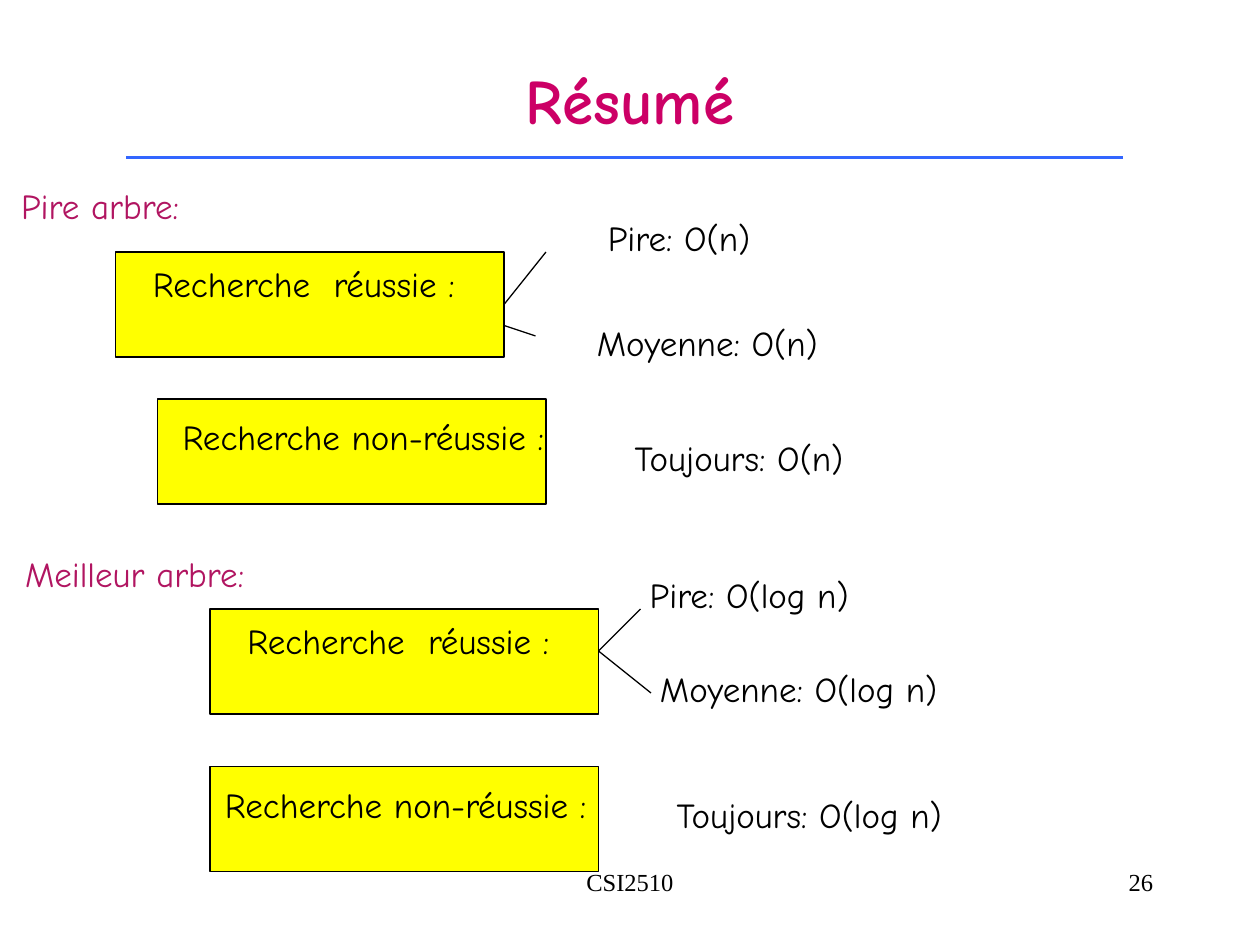
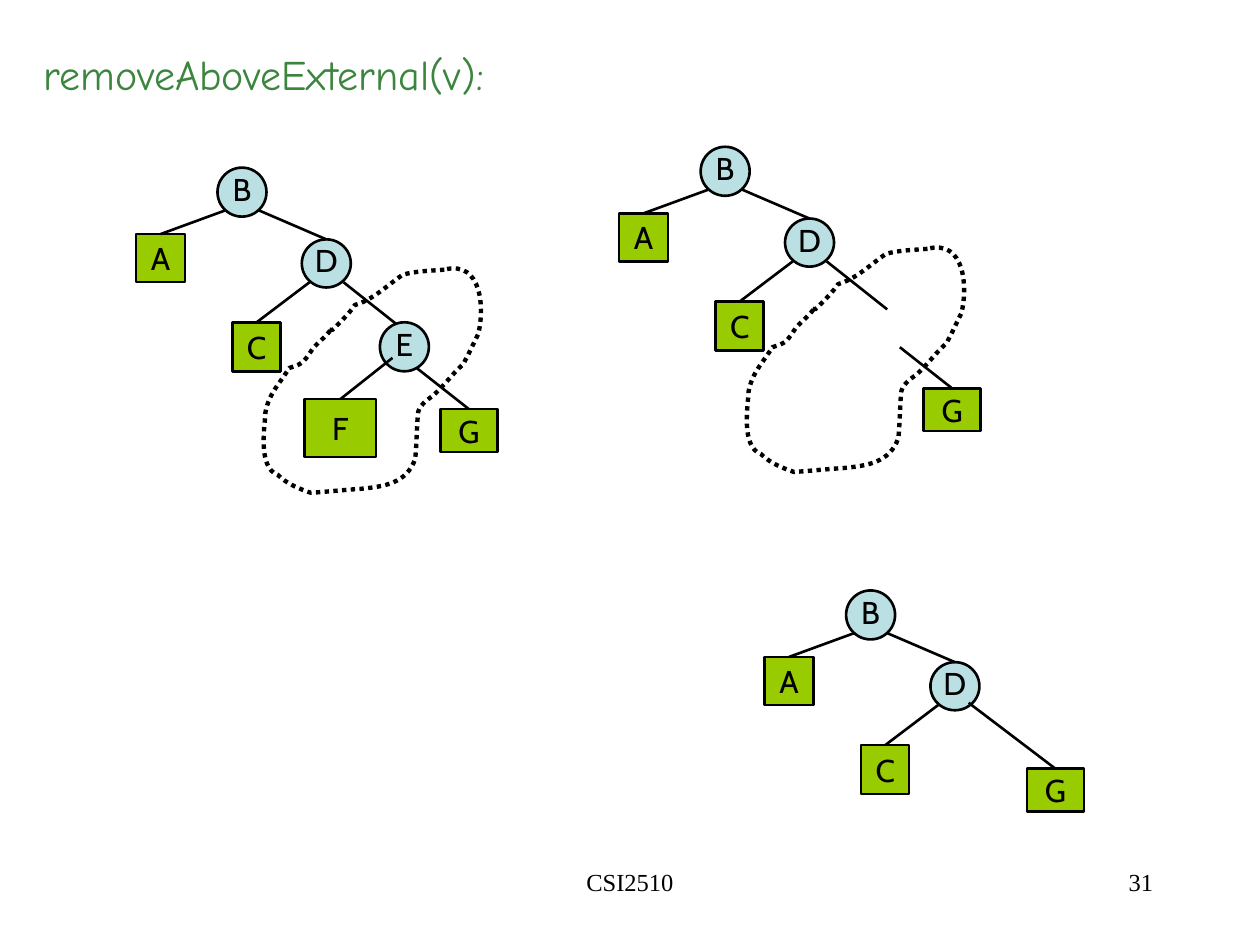
from itertools import chain

from lxml import etree
from pptx import Presentation
from pptx.dml.color import RGBColor
from pptx.enum.dml import MSO_LINE
from pptx.enum.shapes import MSO_CONNECTOR, MSO_SHAPE
from pptx.enum.text import MSO_ANCHOR, PP_ALIGN
from pptx.oxml.ns import qn
from pptx.util import Pt

BLACK = RGBColor(0x00, 0x00, 0x00)
TITLE_PINK = RGBColor(0xCC, 0x00, 0x66)
HEADING_PINK = RGBColor(0xB1, 0x15, 0x61)
HEADING_GREEN = RGBColor(0x3B, 0x85, 0x3E)
RULE_BLUE = RGBColor(0x33, 0x66, 0xFF)
YELLOW = RGBColor(0xFF, 0xFF, 0x00)
INNER_BLUE = RGBColor(0xBB, 0xE0, 0xE3)
LEAF_GREEN = RGBColor(0x99, 0xCC, 0x00)

HAND_FONT = "Comic Neue"
NODE_FONT = "Cabin"
FOOTER_FONT = "Times New Roman"
COURSE = "CSI2510"
INSETS = (7.2, 3.6, 7.2, 3.6)
TOP, RIGHT = 0, 3

# Summary slide: (left, top, text) for boxes, (left, top, width, text, colour) for labels
SEARCH_BOX = (222, 60)
SEARCH_BOXES = [
    (66, 144, "Recherche  réussie :"),
    (90, 228, ""),
    (120, 348, "Recherche  réussie :"),
    (120, 438, ""),
]
LABELS = [
    (5, 102, 105, "Pire arbre:", HEADING_PINK),
    (7.2, 312, 140, "Meilleur arbre:", HEADING_PINK),
    (340.2, 120, 96, "Pire: O(n)", BLACK),
    (334, 180, 141, "Moyenne: O(n)", BLACK),
    (97.2, 234, 229, "Recherche non-réussie :", BLACK),
    (355.5, 246, 135, "Toujours: O(n)", BLACK),
    (364.2, 324, 128, "Pire: O(log n)", BLACK),
    (370, 378, 173.5, "Moyenne: O(log n)", BLACK),
    (121.4, 444, 229, "Recherche non-réussie :", BLACK),
    (379.5, 450, 168, "Toujours: O(log n)", BLACK),
]
# (box whose right side middle is joined, or None; start; end)
BRANCHES = [
    (0, (288, 174), (312, 144)),
    (None, (288, 186), (306, 192)),
    (None, (342, 372), (366, 348)),
    (None, (342, 372), (372, 396)),
]

# Trees: every place is measured from the top left of the root B
INNER_NODES = {"B", "D", "E"}
SHARED_NODES = {
    "B": (0, 0, 28, 28),
    "D": (48.2, 41, 28, 27.5),
    "A": (-46.6, 38, 28, 27.5),
    "C": (8.6, 88.4, 27.5, 28),
}
G_LOW = (127.4, 138, 32.5, 24.5)
# Edges start at the top of a node, or at a free point, and end on the parent's rim
SHARED_EDGES = [("A", (4.3, 24.5)), ("D", (23.8, 24.5)), ("C", (52.6, 65.5))]
D_TO_E = ((106.6, 92.9), (72, 65.5))
G_TO_E = ("G", (113.8, 114.5))
# "under" edges lie beneath the tree's own nodes, "edges" lie above them
TREES = [
    {"root": (124.3, 95.8), "outlined": True, "under": [D_TO_E],
     "nodes": {"E": (92.8, 88.4, 28, 28), "F": (49.7, 132.3, 41, 33), "G": G_LOW},
     "edges": [G_TO_E, ("F", (100, 108.7))]},
    {"root": (400.4, 83.9), "outlined": True, "under": [D_TO_E],
     "nodes": {"G": G_LOW},
     "edges": [G_TO_E]},
    {"root": (483.5, 337.4), "outlined": False, "under": [],
     "nodes": {"G": (103.4, 101.9, 32.5, 24.5)},
     "edges": [("G", (70, 64.2))]},
]
# Outline of the removed part: start, then Bézier pieces (control, control, end)
OUTLINE_START = (129.6, 58.3)
OUTLINE_CURVES = [
    ((121.7, 59), (113.8, 59), (105.8, 61.2)),
    ((96.5, 67.7), (88.6, 75.6), (78.5, 78.5)),
    ((75.6, 82.8), (72, 86.4), (68.4, 90)),
    ((61.2, 97.9), (69.1, 86.4), (63.4, 94.3)),
    ((60.5, 97.9), (55.4, 101.5), (53.3, 105.1)),
    ((49, 111.6), (48.2, 112.3), (41, 114.5)),
    ((35.3, 123.8), (29.5, 128.9), (27.4, 139.7)),
    ((27.4, 145.4), (22.3, 171.4), (34.6, 175.7)),
    ((39.6, 180.7), (46.8, 183.6), (53.3, 185.8)),
    ((65.5, 185), (69.8, 184.3), (81.4, 183.6)),
    ((95, 182.2), (108, 180.7), (113, 166.3)),
    ((113.8, 157.7), (113.8, 149), (114.5, 141.1)),
    ((114.5, 136.1), (120.2, 132.5), (123.1, 130.3)),
    ((129.6, 124.6), (133.9, 118.1), (140.4, 112.3)),
    ((141.8, 109.4), (143.3, 107.3), (144.7, 103.7)),
    ((146.2, 100.8), (149, 95), (149, 95)),
    ((152.6, 80.6), (151.2, 52.6), OUTLINE_START),
]


def points(*values):
    return [Pt(value) for value in values]


def write(shape, text, font, size, color=BLACK, align=PP_ALIGN.LEFT,
          anchor=MSO_ANCHOR.TOP, insets=INSETS, wrap=False, bold=False):
    frame = shape.text_frame
    frame.word_wrap = wrap
    frame.vertical_anchor = anchor
    (frame.margin_left, frame.margin_top,
     frame.margin_right, frame.margin_bottom) = points(*insets)
    para = frame.paragraphs[0]
    para.alignment = align
    span = para.add_run()
    span.text = text
    span.font.name = font
    span.font.size = Pt(size)
    span.font.bold = bold
    span.font.color.rgb = color


def add_text(page, place, text, font, size, **style):
    box = page.shapes.add_textbox(*points(*place))
    write(box, text, font, size, **style)


def add_block(page, kind, place, fill, line_width):
    block = page.shapes.add_shape(kind, *points(*place))
    block.shadow.inherit = False
    block.fill.solid()
    block.fill.fore_color.rgb = fill
    block.line.color.rgb = BLACK
    block.line.width = Pt(line_width)
    return block


def add_line(page, start, end, width, color=BLACK):
    line = page.shapes.add_connector(MSO_CONNECTOR.STRAIGHT, *points(*start, *end))
    line.line.color.rgb = color
    line.line.width = Pt(width)
    etree.SubElement(line._element.spPr, qn("a:effectLst"))
    return line


def add_page(deck, number):
    """Add a blank page with the course name and page number at its foot."""
    page = deck.slides.add_slide(deck.slide_layouts[6])
    add_text(page, (246, 492, 228, 36), COURSE, FOOTER_FONT, 14,
             align=PP_ALIGN.CENTER, wrap=True)
    add_text(page, (516, 492, 150, 36), str(number), FOOTER_FONT, 14,
             align=PP_ALIGN.RIGHT, wrap=True)
    return page


def bend(outline):
    """Turn each three straight segments of a freeform into one Bézier curve."""
    track = next(outline._element.iter(qn("a:path")))
    segments = track.findall(qn("a:lnTo"))
    for first in range(0, len(segments), 3):
        curve = etree.Element(qn("a:cubicBezTo"))
        segments[first].addprevious(curve)
        for segment in segments[first:first + 3]:
            curve.append(segment[0])
            track.remove(segment)


def add_outline(page, shift):
    builder = page.shapes.build_freeform(*points(*shift(OUTLINE_START)))
    corners = [points(*shift(spot)) for spot in chain.from_iterable(OUTLINE_CURVES)]
    builder.add_line_segments(corners, close=True)
    outline = builder.convert_to_shape()
    bend(outline)
    outline.shadow.inherit = False
    outline.fill.background()
    outline.line.color.rgb = BLACK
    outline.line.width = Pt(2.5)
    outline.line.dash_style = MSO_LINE.ROUND_DOT


def add_node(page, name, place):
    if name in INNER_NODES:
        kind, fill, insets = MSO_SHAPE.OVAL, INNER_BLUE, (0, 0, 0, 3.6)
    else:
        kind, fill, insets = MSO_SHAPE.RECTANGLE, LEAF_GREEN, INSETS
    node = add_block(page, kind, place, fill, 1.5)
    write(node, name, NODE_FONT, 18, align=PP_ALIGN.CENTER,
          anchor=MSO_ANCHOR.MIDDLE, insets=insets)
    return node


def add_tree(page, tree):
    root_x, root_y = tree["root"]

    def shift(spot):
        return root_x + spot[0], root_y + spot[1]

    layers = [(SHARED_NODES, SHARED_EDGES + tree["under"]),
              (tree["nodes"], tree["edges"])]
    for places, edges in layers:
        nodes = {name: add_node(page, name, (*shift(place), *place[2:]))
                 for name, place in places.items()}
        for start, end in edges:
            if start in nodes:
                left, top, width, _ = places[start]
                edge = add_line(page, shift((left + width / 2, top)), shift(end), 1.5)
                edge.begin_connect(nodes[start], TOP)
            else:
                add_line(page, shift(start), shift(end), 1.5)
    if tree["outlined"]:
        add_outline(page, shift)


def build_summary(deck):
    page = add_page(deck, 26)
    add_text(page, (54, 12, 612, 90), "Résumé", HAND_FONT, 36, color=TITLE_PINK,
             align=PP_ALIGN.CENTER, anchor=MSO_ANCHOR.MIDDLE, wrap=True, bold=True)
    add_line(page, (72, 90), (642, 90), 2, RULE_BLUE)
    boxes = []
    for left, top, text in SEARCH_BOXES:
        box = add_block(page, MSO_SHAPE.RECTANGLE, (left, top, *SEARCH_BOX), YELLOW, 0.75)
        if text:
            write(box, text, HAND_FONT, 20, insets=(21.4, 6, 7.2, 3.6), wrap=True)
        boxes.append(box)
    for left, top, width, text, color in LABELS:
        add_text(page, (left, top, width, 31.5), text, HAND_FONT, 20, color=color)
    for joined, start, end in BRANCHES:
        branch = add_line(page, start, end, 0.75)
        if joined is not None:
            branch.begin_connect(boxes[joined], RIGHT)


def build_removal(deck):
    page = add_page(deck, 31)
    add_text(page, (18, 24, 714, 36), "removeAboveExternal(v):", HAND_FONT, 24,
             color=HEADING_GREEN, wrap=True)
    for tree in TREES:
        add_tree(page, tree)


def main():
    deck = Presentation()
    deck.slide_width, deck.slide_height = points(720, 540)
    build_summary(deck)
    build_removal(deck)
    deck.save("out.pptx")


if __name__ == "__main__":
    main()
